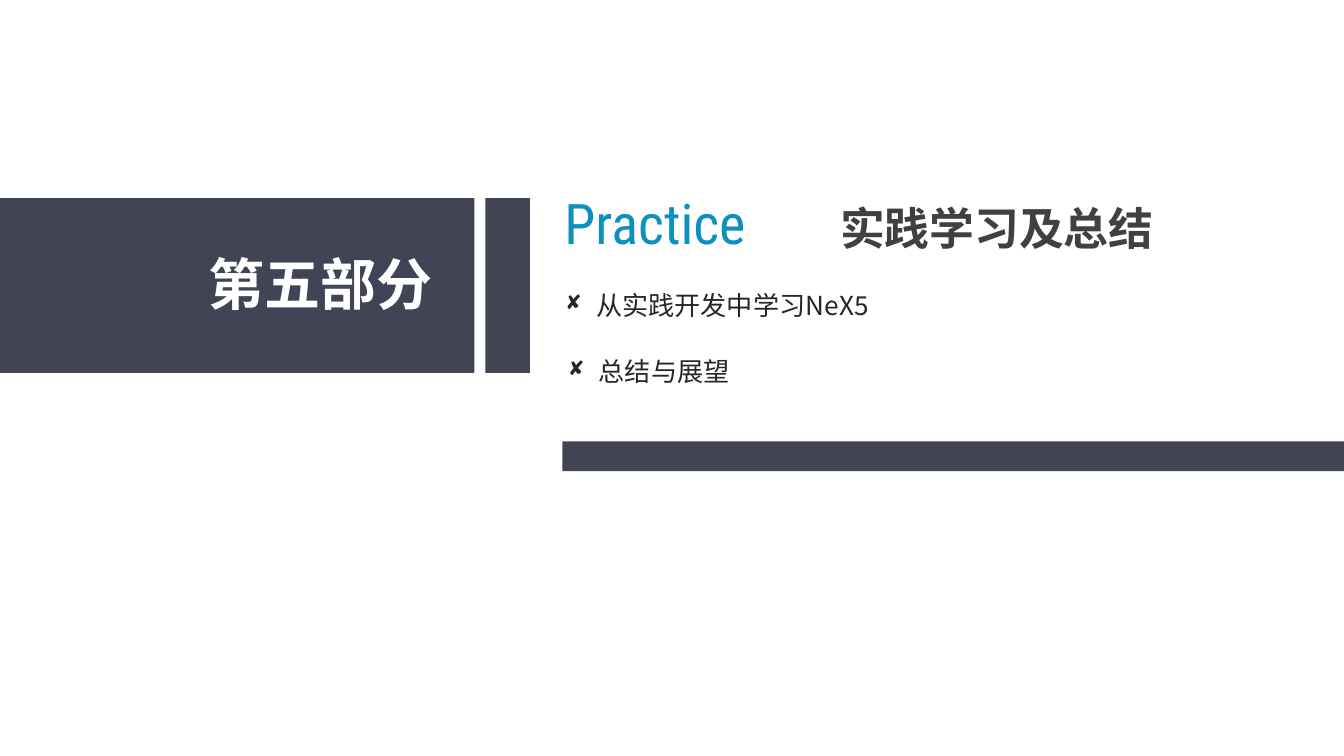
from lxml import etree
from pptx import Presentation
from pptx import util as u
from pptx.dml.color import RGBColor
from pptx.enum import shapes, text
from pptx.oxml.ns import qn

COLS, ROWS = 100, 56.25
CELL = u.Inches(0.1)
CJK, LATIN = "Noto Sans CJK SC", "Roboto Condensed"
COLORS = {"slate": "414455", "white": "FFFFFF", "blue": "0E90BE",
          "heading": "404040", "body": "262626"}


def box(*cells):
    """Turn left, top, width and height in grid cells into lengths."""
    return [u.Emu(round(c * CELL)) for c in cells]


def add_bar(s, *cells):
    """Add a plain slate rectangle."""
    sp = s.shapes.add_shape(shapes.MSO_SHAPE.RECTANGLE, *box(*cells))
    sp.shadow.inherit = False
    sp.fill.solid()
    sp.fill.fore_color.rgb = RGBColor.from_string(COLORS["slate"])
    sp.line.fill.background()


def add_label(s, cells, words, size, color, font=CJK, bold=False):
    """Add a one-line text box and return its paragraph."""
    tf = s.shapes.add_textbox(*box(*cells)).text_frame
    tf.word_wrap = False
    tf.auto_size = text.MSO_AUTO_SIZE.SHAPE_TO_FIT_TEXT
    tf.margin_left = tf.margin_right = u.Inches(0.07)
    tf.margin_top = tf.margin_bottom = u.Inches(0.04)
    tf.text = words
    p = tf.paragraphs[0]
    r = p.runs[0]
    r.font.size = u.Pt(size)
    r.font.bold = bold
    r.font.color.rgb = RGBColor.from_string(COLORS[color])
    r.font.name = font
    etree.SubElement(r.font._element, qn("a:ea"), typeface=font)
    return p


def add_bullet(s, cells, words):
    """Add a body line with a hollow square bullet."""
    p = add_label(s, cells, words, 14, "body")
    pPr = p._p.get_or_add_pPr()
    indent = u.Inches(0.23)
    pPr.set("marL", str(indent))
    pPr.set("indent", str(-indent))
    etree.SubElement(pPr, qn("a:buFont"), typeface="Wingdings")
    etree.SubElement(pPr, qn("a:buChar"), char="◻")


def main():
    """Build the section slide."""
    prs = Presentation()
    prs.slide_width, prs.slide_height = box(COLS, ROWS)
    s = prs.slides.add_slide(prs.slide_layouts[6])

    band_top, band_height, rule_left = 14.75, 13, 41.85
    add_bar(s, 0, band_top, 35.3, band_height)
    add_bar(s, 36.12, band_top, 3.32, band_height)
    add_bar(s, rule_left, 32.85, COLS - rule_left, 2.2)

    add_label(s, (14.8, 18.2, 18.3, 5.8), "第五部分", 30, "white", bold=True)
    add_label(s, (41.3, 13.6, 16, 5.8), "Practice", 30, "blue", LATIN)
    add_label(s, (61.8, 14.55, 25.1, 4.8), "实践学习及总结", 24, "heading", bold=True)
    add_bullet(s, (41.35, 21.15, 25.1, 3.1), "从实践开发中学习NeX5")
    add_bullet(s, (41.55, 26.05, 13.7, 3.1), "总结与展望")
    prs.save("out.pptx")


if __name__ == "__main__":
    main()
